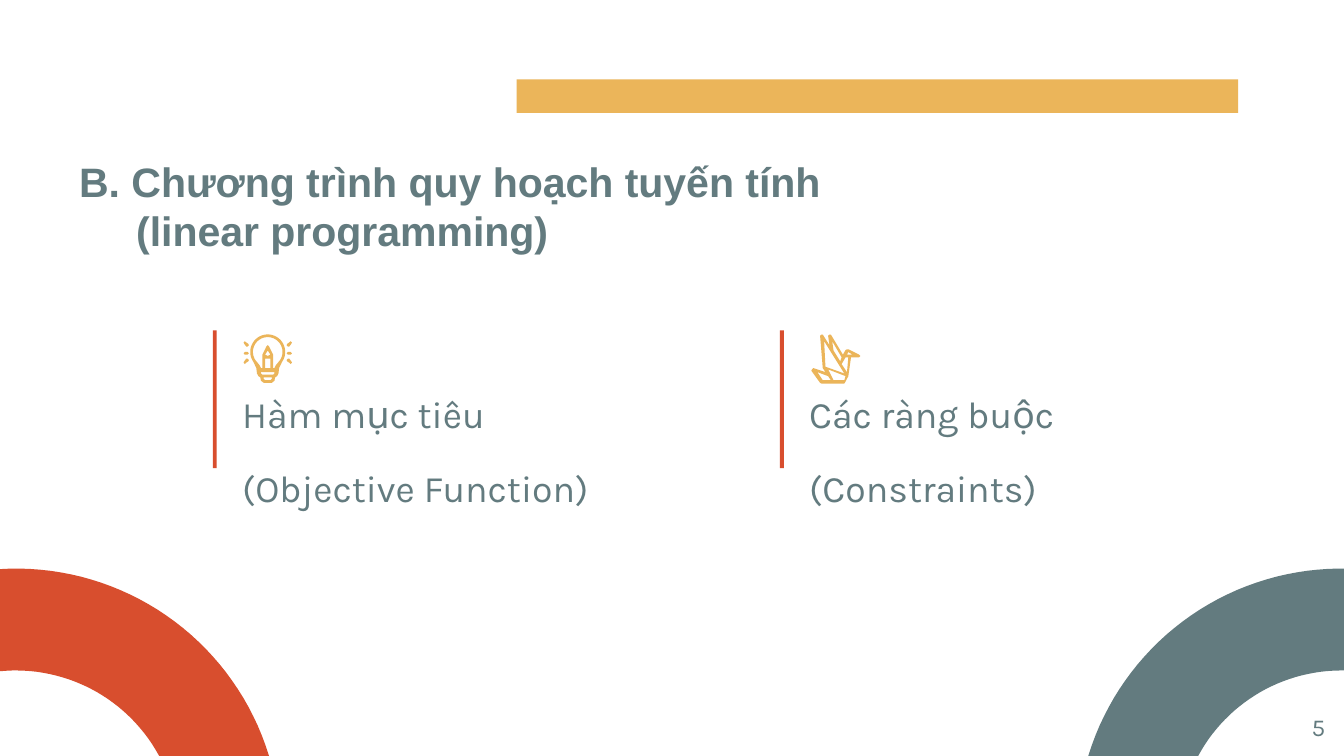
from math import cos, radians, sin

from pptx import Presentation
from pptx.dml.color import RGBColor
from pptx.enum import shapes as sh, text as tx
from pptx.util import Pt

GOLD, SLATE, RED = "EBB55A", "637B7F", "D84E2E"
UNIT = 0.72  # icon grid step in points


def color(code):
    return RGBColor.from_string(code)


def paint(shape, code):
    shape.shadow.inherit = False
    shape.fill.solid()
    shape.fill.fore_color.rgb = color(code)
    shape.line.fill.background()
    return shape


def bar(slide, x, y, w, h, code):
    box = [Pt(v) for v in (x, y, w, h)]
    return paint(slide.shapes.add_shape(sh.MSO_SHAPE.RECTANGLE, *box), code)


def outline(slide, x, y, rings, code, unit=1):
    """Draw closed contours, given on a grid of unit points from (x, y)."""
    form = None
    for ring in rings:
        spots = [(Pt(x + a * unit), Pt(y + b * unit)) for a, b in ring]
        if form is None:
            form = slide.shapes.build_freeform(*spots[0])
        else:
            form.move_to(*spots[0])
        form.add_line_segments(spots[1:], close=True)
    return paint(form.convert_to_shape(), code)


def arc(cx, cy, r, start, end, steps=40):
    turns = [radians(start + (end - start) * i / steps) for i in range(steps + 1)]
    return [(cx + r * cos(t), cy + r * sin(t)) for t in turns]


def write(slide, x, y, w, h, lines, size=20, font="Karla", bold=False,
          align=tx.PP_ALIGN.LEFT, anchor=tx.MSO_ANCHOR.TOP, gap=0, indent=0):
    """Write one paragraph per line; gap and indent apply after the first."""
    frame = slide.shapes.add_textbox(Pt(x), Pt(y), Pt(w), Pt(h)).text_frame
    frame.word_wrap = True
    frame.vertical_anchor = anchor
    frame.margin_left = frame.margin_right = Pt(7.2)
    frame.margin_top = frame.margin_bottom = Pt(7.2)
    for i, line in enumerate(lines):
        para = frame.paragraphs[0] if i == 0 else frame.add_paragraph()
        para.alignment = align
        if i and gap:
            para.space_before = para.space_after = Pt(gap)
        if i and indent:
            para._p.get_or_add_pPr().set("marL", str(Pt(indent)))
        run = para.add_run()
        run.text = line
        run.font.size, run.font.name, run.font.bold = Pt(size), font, bold
        run.font.color.rgb = color(code=SLATE)


def corner(slide, x, y, side, code, right=False):
    """Quarter ring, tilted outward by 15 degrees."""
    ring = arc(0, side, side, -90, 0) + arc(0, side, side * 0.615, 0, -90)
    if right:
        ring = [(side - a, b) for a, b in ring]
    outline(slide, x, y, [ring], code).rotation = 15 if right else 345


def bulb(slide, x, y):
    glass = arc(18, 13, 13, -215, 35) + [
        (26.5, 25), (26, 29), (25, 31), (23.5, 32), (23, 34.5), (21, 36),
        (15, 36), (13, 34.5), (12.5, 32), (11, 31), (10, 29), (9.5, 25)]
    hollow = arc(18, 13, 11, -215, 35) + [
        (24, 23), (23, 25), (22, 25), (22, 15), (19, 9), (18, 8),
        (17, 9), (14, 15), (14, 25), (13, 25), (12, 23)]
    tip = [(18, 12), (20, 15), (18, 16), (16, 15)]
    body = [(20, 18), (20, 25), (16, 25), (16, 18)]
    bands = [[(18 - w, t), (18 + w, t), (18 + w, t + 1), (17 + w, t + 2),
              (19 - w, t + 2), (18 - w, t + 1)] for w, t in ((5, 28), (3, 32))]
    outline(slide, x, y, [glass, hollow, tip, body, *bands], GOLD, UNIT)

    flat = [(1, 13), (0, 14), (1, 15), (3, 15), (4, 14), (3, 13)]
    slant = [(1, 5), (0, 6), (0.5, 7), (2, 9), (3, 9), (4, 8), (3.5, 7), (2, 6)]
    rise = [(a, 27 - b) for a, b in slant]
    for ray in (flat, slant, rise):
        outline(slide, x, y, [ray], GOLD, UNIT)
        outline(slide, x, y, [[(36 - a, b) for a, b in ray]], GOLD, UNIT)


def bird(slide, x, y):
    edge = [(8, 0), (7, 1), (9, 25), (11, 28), (2, 25), (1, 26), (0.5, 27),
            (7, 36), (8, 36.5), (25, 36.5), (26, 35), (28, 31), (30, 17),
            (36, 17), (37, 16), (36, 15), (28, 11), (27, 11), (26, 11.5),
            (24, 15), (15, 0), (14, 0), (13, 1), (14, 8), (9, 0)]
    folds = [
        [(28, 13), (31, 15), (27, 15)],
        [(16, 5), (23, 17), (22, 20), (17, 12)],
        [(28, 17), (27, 28), (23, 22), (26, 17)],
        [(10, 5), (25, 29), (11, 24)],
        [(5, 28), (13, 31), (15, 34), (9, 34)],
        [(13, 26), (26, 31), (25, 34), (17, 34)]]
    outline(slide, x, y, [edge, *folds], GOLD, UNIT)


def column(slide, x, y, w, icon, lines):
    bar(slide, x, y, 2.16, 73.8, RED)
    icon(slide, x + 16.5, y + 2.2)
    write(slide, x + 8.64, y + 25.2, w, 45.36, lines, gap=16)


def main():
    deck = Presentation()
    deck.slide_width, deck.slide_height = Pt(720), Pt(405)
    slide = deck.slides.add_slide(deck.slide_layouts[6])
    bar(slide, 276.8, 42.5, 386.6, 18, GOLD)
    corner(slide, 597.6, 288.7, 141.8, SLATE, right=True)
    corner(slide, -12.2, 288.7, 141.8, RED)
    write(slide, 35.3, 76.5, 585.4, 45.36,
          ["B. Chương trình quy hoạch tuyến tính", "(linear programming)"],
          size=22, font="Arial", bold=True, indent=30.6)
    column(slide, 114, 177, 223.9, bulb, ["Hàm mục tiêu", "(Objective Function)"])
    column(slide, 417.8, 177, 180, bird, ["Các ràng buộc", "(Constraints)"])
    write(slide, 673.9, 373.7, 43.2, 31, ["5"], size=13,
          align=tx.PP_ALIGN.RIGHT, anchor=tx.MSO_ANCHOR.MIDDLE)
    deck.save("out.pptx")


if __name__ == "__main__":
    main()
